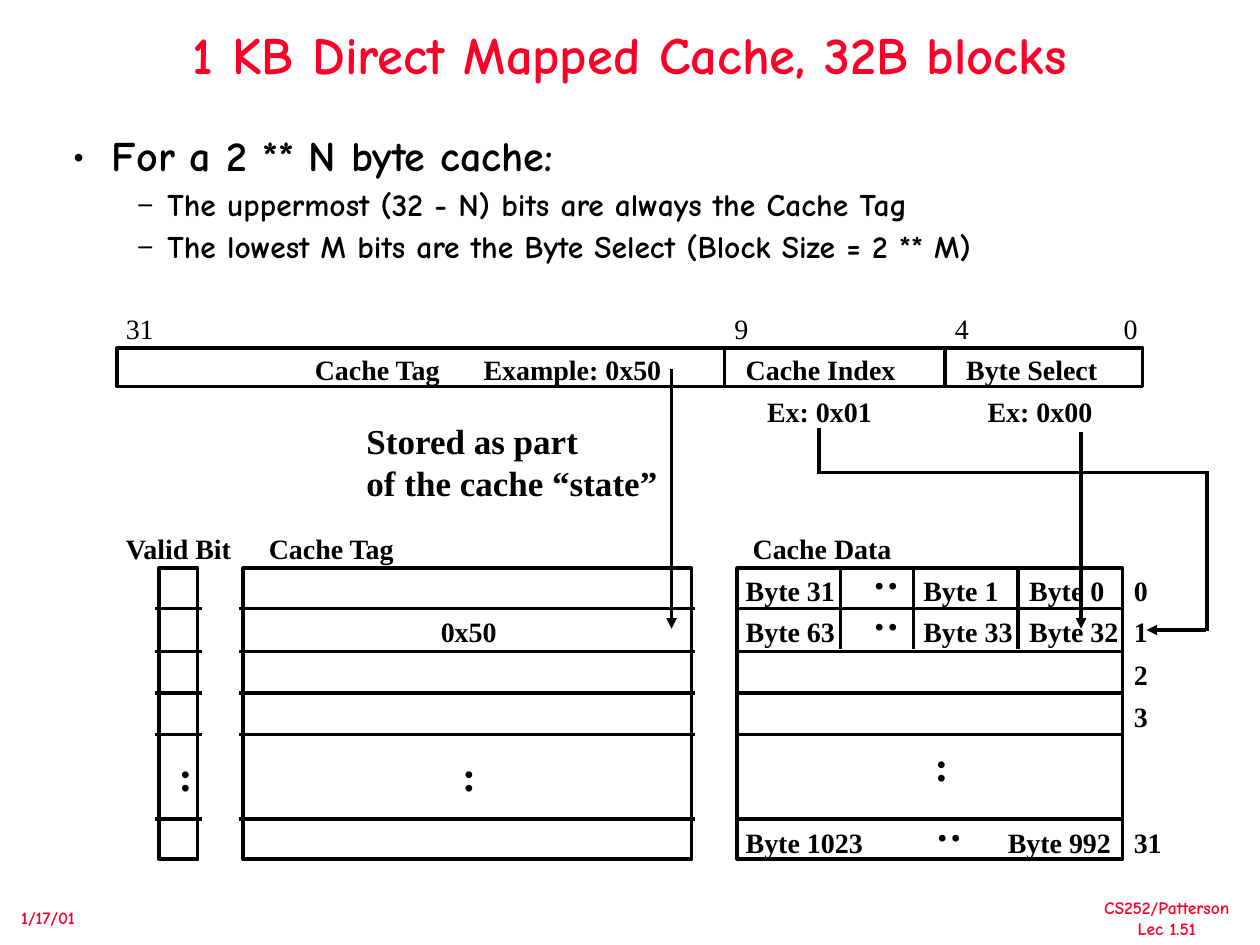
from lxml.etree import SubElement
from pptx import Presentation
from pptx.dml.color import RGBColor
from pptx.enum.shapes import MSO_CONNECTOR, MSO_SHAPE
from pptx.enum.text import MSO_ANCHOR, MSO_AUTO_SIZE, PP_ALIGN
from pptx.oxml.ns import qn
from pptx.util import Inches, Pt

COLORS = {"ink": "000000", "accent": "FC0128"}
HAND, SERIF = "Comic Neue", "Times New Roman"
TABLE_TOP, TABLE_HEIGHT, ROW_STEP = 4.51, 2.31, 1 / 3
ROW_RULES = (1, 2, 3, 4, 6)
LAST_ROW = 6


def row_top(row):
    return round(4.5 + row * ROW_STEP, 2)


def style_paragraph(paragraph, size, font, color="ink", bold=True):
    for run in paragraph.runs:
        run.font.size = Pt(size)
        run.font.name = font
        run.font.bold = bold
        run.font.color.rgb = RGBColor.from_string(COLORS[color])


def add_text(slide, text, left, top, width, height=0.36, size=16, font=SERIF,
             color="ink", bold=True, align=PP_ALIGN.LEFT, rotation=0):
    """Add an unwrapped label; each line of text is a paragraph."""
    box = slide.shapes.add_textbox(Inches(left), Inches(top), Inches(width), Inches(height))
    box.rotation = rotation
    frame = box.text_frame
    frame.word_wrap = False
    frame.auto_size = MSO_AUTO_SIZE.SHAPE_TO_FIT_TEXT
    frame.text = text
    for paragraph in frame.paragraphs:
        paragraph.alignment = align
        style_paragraph(paragraph, size, font, color, bold)


def add_dots(slide, left, top, rotation=0):
    add_text(slide, ":", left, top, 0.31, 0.5, size=24, rotation=rotation)


def add_frame(slide, left, top, width, height):
    frame = slide.shapes.add_shape(
        MSO_SHAPE.RECTANGLE, Inches(left), Inches(top), Inches(width), Inches(height))
    frame.shadow.inherit = False
    frame.fill.background()
    frame.line.color.rgb = RGBColor.from_string(COLORS["ink"])
    frame.line.width = Pt(2)


def add_line(slide, x1, y1, x2, y2, arrow=False):
    """Add a straight line, with an arrowhead at its second point if asked."""
    line = slide.shapes.add_connector(
        MSO_CONNECTOR.STRAIGHT, Inches(x1), Inches(y1), Inches(x2), Inches(y2))
    line.line.color.rgb = RGBColor.from_string(COLORS["ink"])
    line.line.width = Pt(2)
    if arrow:
        SubElement(line.line._get_or_add_ln(), qn("a:tailEnd"), type="triangle")
    SubElement(line._element.spPr, qn("a:effectLst"))


def add_title(slide, text):
    title = slide.shapes.title
    title.left, title.top = Inches(0.02), Inches(0.23)
    title.width, title.height = Inches(9.96), Inches(0.45)
    frame = title.text_frame
    frame.text = text
    frame.auto_size = MSO_AUTO_SIZE.NONE
    frame.vertical_anchor = MSO_ANCHOR.MIDDLE
    paragraph = frame.paragraphs[0]
    paragraph.alignment = PP_ALIGN.CENTER
    paragraph.line_spacing = 0.9
    style_paragraph(paragraph, 30, HAND, "accent")


def add_bullets(slide, items):
    box = slide.shapes.add_textbox(Inches(0.48), Inches(1.06), Inches(9.02), Inches(1.11))
    frame = box.text_frame
    frame.word_wrap = True
    frame.text = "\n".join(text for _, text in items)
    levels = (("•", 24, 9, 0.31, 0.31), ("–", 18, 6.8, 0.75, 0.25))
    for paragraph, (level, _) in zip(frame.paragraphs, items):
        mark, size, space, margin, hanging = levels[level]
        paragraph.level = level
        paragraph.line_spacing = 0.8
        paragraph.space_before = Pt(space)
        style_paragraph(paragraph, size, HAND)
        properties = paragraph._p.get_or_add_pPr()
        properties.set("marL", str(Inches(margin)))
        properties.set("indent", str(-Inches(hanging)))
        SubElement(properties, qn("a:buFont"), typeface=HAND)
        SubElement(properties, qn("a:buChar"), char=mark)


def add_address(slide):
    """Draw the address bar with its bit numbers, fields and examples."""
    add_frame(slide, 0.93, 2.76, 8.14, 0.31)
    for x in (5.75, 7.5):
        add_line(slide, x, 2.76, x, 3.07)
    for bit, left, width in (("31", 0.9, 0.42), ("9", 5.73, 0.31),
                             ("4", 7.48, 0.31), ("0", 8.82, 0.31)):
        add_text(slide, bit, left, 2.42, width, bold=False)
    for field, left, width in (("Cache Tag", 2.4, 1.21), ("Example: 0x50", 3.74, 1.61),
                               ("Cache Index", 5.82, 1.39), ("Byte Select", 7.57, 1.24)):
        add_text(slide, field, left, 2.75, width)
    for example, left in (("Ex: 0x01", 5.99), ("Ex: 0x00", 7.74)):
        add_text(slide, example, left, 3.08, 1.03)
    add_text(slide, "Stored as part\nof the cache “state”", 2.81, 3.28, 2.51, 0.76, size=20)


def add_column(slide, left, width, overhang):
    """Draw a column of the cache, its row rules reaching past both sides."""
    add_frame(slide, left, TABLE_TOP, width, TABLE_HEIGHT)
    for row in ROW_RULES:
        add_line(slide, left - overhang, row_top(row), left + width + overhang, row_top(row))


def add_cache(slide):
    for left, width, overhang in ((1.26, 0.31, 0.03), (1.93, 3.56, 0.03), (5.85, 3.06, 0)):
        add_column(slide, left, width, overhang)
    for heading, left, width in (("Valid Bit", 0.9, 1.05), (" Cache Tag", 1.98, 1.27),
                                 (" Cache Data", 5.82, 1.36)):
        add_text(slide, heading, left, 4.17, width)
    for left, top in ((1.32, 5.9), (3.57, 5.9), (7.32, 5.82)):
        add_dots(slide, left, top)
    add_text(slide, "0x50", 3.4, row_top(1), 0.64)

    for row, names in enumerate((("Byte 31", "Byte 1", "Byte 0"),
                                 ("Byte 63", "Byte 33", "Byte 32"))):
        for name, left in zip(names, (5.82, 7.23, 8.07)):
            add_text(slide, name, left, row_top(row), 0.91 if len(name) == 7 else 0.8)
        for x in (6.67, 7.25, 8.08):
            add_line(slide, x, row_top(row) + 0.01, x, row_top(row) + 0.32)
        add_dots(slide, 6.82, row_top(row) - 0.1, rotation=270)
    add_text(slide, "Byte 1023", 5.82, row_top(LAST_ROW), 1.13)
    add_text(slide, "Byte 992", 7.9, row_top(LAST_ROW), 1.02)
    add_dots(slide, 7.32, row_top(LAST_ROW) - 0.1, rotation=270)

    for row in range(4):
        add_text(slide, str(row), 8.9, row_top(row), 0.31)
    add_text(slide, "31", 8.9, row_top(LAST_ROW), 0.42)


def add_lookup_arrows(slide):
    """Lead the tag, the byte select and the index to row 1 of the cache."""
    add_line(slide, 5.33, 2.93, 5.33, 4.99, arrow=True)
    add_line(slide, 8.58, 3.43, 8.58, 4.99, arrow=True)
    add_line(slide, 6.5, 3.4, 6.5, 3.76)
    add_line(slide, 6.5, 3.75, 9.58, 3.75)
    add_line(slide, 9.58, 3.74, 9.58, 5.01)
    add_line(slide, 9.57, 5, 9.1, 5, arrow=True)


def main():
    deck = Presentation()
    deck.slide_width, deck.slide_height = Inches(10), Inches(7.5)
    slide = deck.slides.add_slide(deck.slide_layouts[5])
    add_title(slide, "1 KB Direct Mapped Cache, 32B blocks")
    add_bullets(slide, (
        (0, "For a 2 ** N byte cache:"),
        (1, "The uppermost (32 - N) bits are always the Cache Tag"),
        (1, "The lowest M bits are the Byte Select (Block Size = 2 ** M)"),
    ))
    add_address(slide)
    add_cache(slide)
    add_lookup_arrows(slide)
    add_text(slide, "1/17/01", 0.07, 7.15, 0.7, 0.27, size=10, font=HAND, color="accent")
    add_text(slide, "CS252/Patterson\nLec 1.51", 8.66, 7.07, 1.2, 0.43, size=10, font=HAND,
             color="accent", align=PP_ALIGN.CENTER)
    deck.save("out.pptx")


if __name__ == "__main__":
    main()
